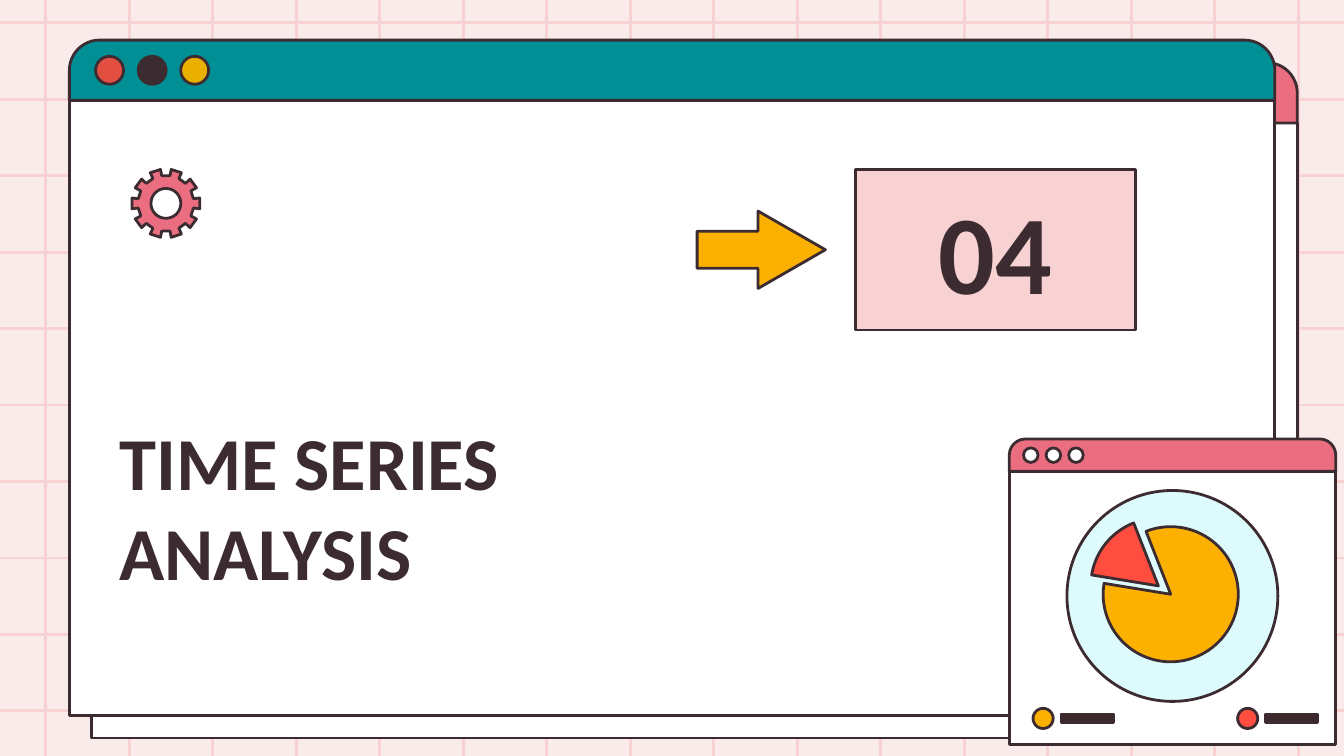
from dataclasses import dataclass
from math import cos, radians, sin

from lxml.etree import SubElement
from pptx import Presentation
from pptx.dml.color import RGBColor
from pptx.enum.shapes import MSO_CONNECTOR, MSO_SHAPE
from pptx.enum.text import MSO_ANCHOR, PP_ALIGN
from pptx.oxml.ns import qn
from pptx.shapes.autoshape import Shape
from pptx.util import Pt

WIDE, HIGH = 720, 405
BLUSH = RGBColor(0xFA, 0xEB, 0xEB)
PINK = RGBColor(0xF8, 0xD2, 0xD2)
ROSE = RGBColor(0xEB, 0x6E, 0x80)
TEAL = RGBColor(0x00, 0x8F, 0x95)
INK = RGBColor(0x3C, 0x2C, 0x31)
BROWN = RGBColor(0x3E, 0x28, 0x2C)
BRICK = RGBColor(0xE2, 0x4E, 0x42)
GOLD = RGBColor(0xE9, 0xB0, 0x00)
AMBER = RGBColor(0xFC, 0xB1, 0x00)
RED = RGBColor(0xFF, 0x4D, 0x3F)
ICE = RGBColor(0xDD, 0xFB, 0xFC)
WHITE = RGBColor(0xFF, 0xFF, 0xFF)


@dataclass(frozen=True)
class Box:
    left: float
    top: float
    width: float
    height: float


@dataclass(frozen=True)
class Window:
    box: Box
    bar: float
    color: RGBColor
    dots: tuple[RGBColor, ...]
    inset: float
    step: float
    size: float


@dataclass(frozen=True)
class Slice:
    x: float
    y: float
    start: float
    end: float
    color: RGBColor


@dataclass(frozen=True)
class Key:
    x: float
    color: RGBColor


@dataclass(frozen=True)
class Label:
    words: str
    size: float
    align: PP_ALIGN
    anchor: MSO_ANCHOR


BIG = dict(bar=32.3, dots=(BRICK, INK, GOLD), inset=21.5, step=22.8, size=15)
BACK = Window(Box(49.2, 33.6, 645.8, 361.8), color=ROSE, **BIG)
FRONT = Window(Box(37.2, 21.5, 645.8, 361.8), color=TEAL, **BIG)
SMALL = Window(Box(540.7, 235.2, 174.9, 163.6), bar=17.3, color=ROSE,
               dots=(WHITE,) * 3, inset=11.5, step=12.1, size=7.8)
SLICES = (Slice(627.2, 318.4, 248.6, 189.3, AMBER),
          Slice(620.6, 313.9, 189.3, 248.6, RED))
KEYS = (Key(558.8, AMBER), Key(668.4, RED))
KEY_Y = 384.9
TITLE = Label("TIME SERIES ANALYSIS", 40, PP_ALIGN.LEFT, MSO_ANCHOR.BOTTOM)
NUMBER = Label("04", 60, PP_ALIGN.CENTER, MSO_ANCHOR.MIDDLE)


def put(target: object, values: dict[str, object]) -> None:
    for name, value in values.items():
        setattr(target, name, value)


def paint(shape: Shape, color: RGBColor) -> Shape:
    shape.shadow.inherit = False
    shape.fill.solid()
    shape.fill.fore_color.rgb = color
    shape.line.color.rgb = INK
    shape.line.width = Pt(1.5)
    return shape


def draw(shapes, kind: MSO_SHAPE, box: Box, color: RGBColor,
         tweaks: tuple[float, ...] = ()) -> Shape:
    shape = shapes.add_shape(kind, Pt(box.left), Pt(box.top),
                             Pt(box.width), Pt(box.height))
    for i, tweak in enumerate(tweaks):
        shape.adjustments[i] = tweak
    return paint(shape, color)


def disc(shapes, x: float, y: float, size: float, color: RGBColor) -> None:
    box = Box(x - size / 2, y - size / 2, size, size)
    draw(shapes, MSO_SHAPE.OVAL, box, color)


def rule(shapes, x1: float, y1: float, x2: float, y2: float) -> None:
    line = shapes.add_connector(MSO_CONNECTOR.STRAIGHT,
                                Pt(x1), Pt(y1), Pt(x2), Pt(y2))
    line.line.color.rgb = PINK
    line.line.width = Pt(1.5)
    SubElement(line._element.spPr, qn("a:effectLst"))


def grid(shapes) -> None:
    for col in range(16):
        x = 24.5 + 44.74 * col
        rule(shapes, x, 0, x, HIGH)
    for row in range(10):
        y = 12.2 + 40.96 * row
        rule(shapes, 0, y, WIDE, y)


def frame(shapes, win: Window) -> None:
    box = win.box
    body = Box(box.left, box.top + win.bar, box.width, box.height - win.bar)
    head = Box(box.left, box.top, box.width, win.bar)
    draw(shapes, MSO_SHAPE.RECTANGLE, body, WHITE)
    draw(shapes, MSO_SHAPE.ROUND_2_SAME_RECTANGLE, head, win.color, (0.5, 0))
    for i, color in enumerate(win.dots):
        disc(shapes, box.left + win.inset + i * win.step,
             box.top + win.bar / 2, win.size, color)


def pie(shapes) -> None:
    disc(shapes, 628.1, 319.3, 113, ICE)
    size = 72.4
    for part in SLICES:
        box = Box(part.x - size / 2, part.y - size / 2, size, size)
        # Angles are stored in 60000ths of a degree, tweaks in 100000ths.
        draw(shapes, MSO_SHAPE.PIE, box, part.color,
             (part.start * 0.6, part.end * 0.6))


def legend(shapes) -> None:
    for key in KEYS:
        disc(shapes, key.x, KEY_Y, 10.8, key.color)
        bar = Box(key.x + 9.6, KEY_Y - 2.3, 28, 4.6)
        draw(shapes, MSO_SHAPE.RECTANGLE, bar, BROWN)


def gear(shapes, x: float, y: float) -> None:
    """Draw ten teeth round an open hub."""
    def spot(radius: float, angle: float) -> tuple[int, int]:
        turn = radians(angle)
        return Pt(x + radius * cos(turn)), Pt(y + radius * sin(turn))

    rim = [spot(radius, 36 * tooth + turn) for tooth in range(10)
           for radius, turn in ((15, -9.5), (18.4, -9), (18.4, 9), (15, 9.5))]
    hub = [spot(8, -angle) for angle in range(0, 360, 10)]
    path = shapes.build_freeform(*rim[0], scale=1.0)
    path.add_line_segments(rim[1:], close=True)
    path.move_to(*hub[0])
    path.add_line_segments(hub[1:], close=True)
    paint(path.convert_to_shape(), ROSE)


def write(shape: Shape, label: Label) -> None:
    frame = shape.text_frame
    sides = ("left", "right", "top", "bottom")
    put(frame, {f"margin_{side}": Pt(7.2) for side in sides})
    put(frame, {"word_wrap": True, "vertical_anchor": label.anchor})
    line = frame.paragraphs[0]
    line.alignment = label.align
    run = line.add_run()
    run.text = label.words
    put(run.font, {"name": "Calibri", "size": Pt(label.size), "bold": True})
    run.font.color.rgb = INK


def main() -> None:
    deck = Presentation()
    put(deck, {"slide_width": Pt(WIDE), "slide_height": Pt(HIGH)})
    slide = deck.slides.add_slide(deck.slide_layouts[6])
    slide.background.fill.solid()
    slide.background.fill.fore_color.rgb = BLUSH
    shapes = slide.shapes

    grid(shapes)
    frame(shapes, BACK)
    frame(shapes, FRONT)
    title = shapes.add_textbox(Pt(56.9), Pt(208.8), Pt(374.4), Pt(117.4))
    write(title, TITLE)
    card = draw(shapes, MSO_SHAPE.RECTANGLE, Box(458.3, 90.8, 150.2, 86), PINK)
    write(card, NUMBER)
    draw(shapes, MSO_SHAPE.RIGHT_ARROW, Box(373.5, 113.1, 68.7, 41.4), AMBER,
         (0.48, 0.87))
    frame(shapes, SMALL)
    legend(shapes)
    pie(shapes)
    gear(shapes, 88.9, 109)
    deck.save("out.pptx")


if __name__ == "__main__":
    main()
